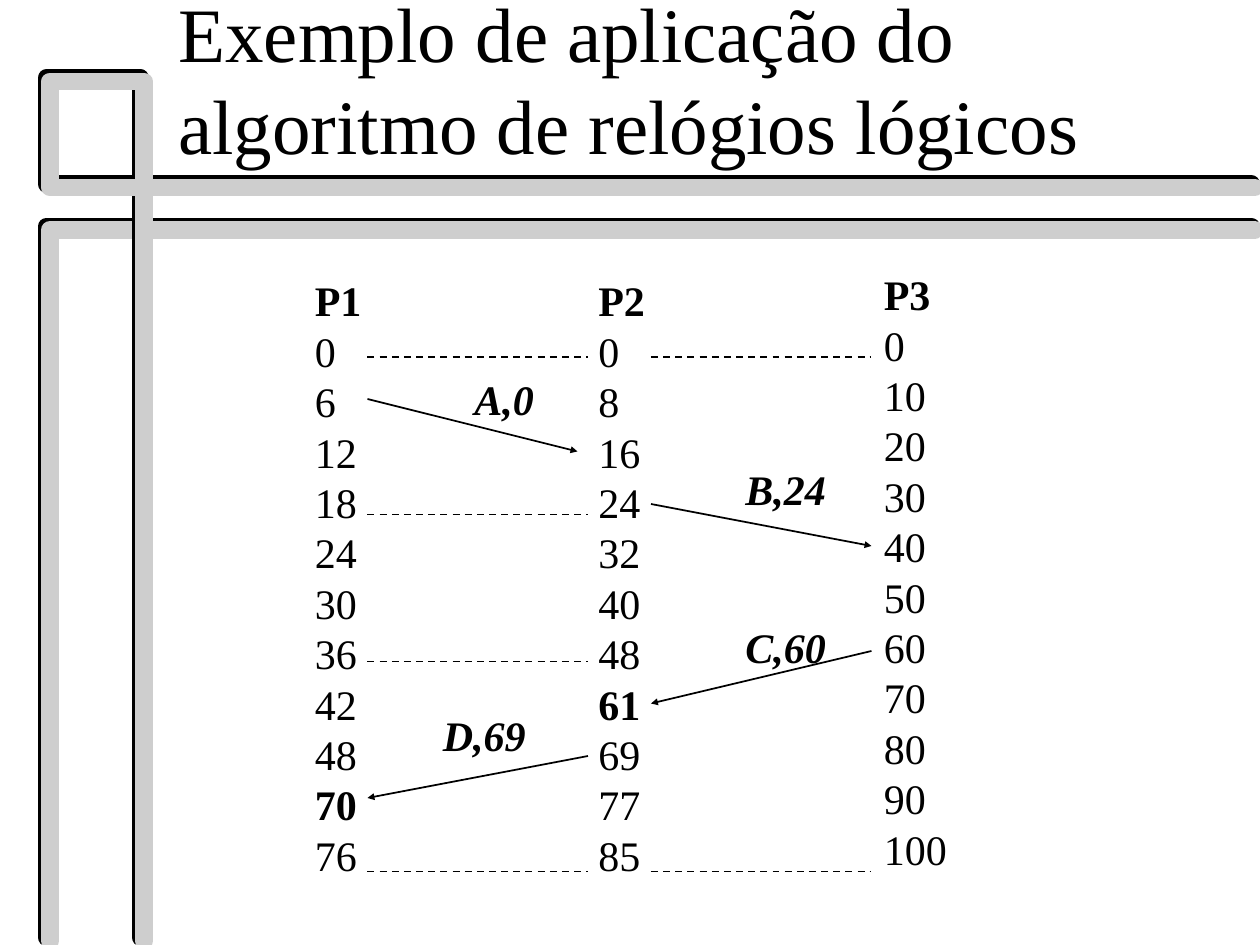
from lxml.etree import SubElement
from pptx import Presentation
from pptx.dml.color import RGBColor
from pptx.enum.dml import MSO_LINE_DASH_STYLE as Dash
from pptx.enum.shapes import MSO_CONNECTOR as Connector
from pptx.enum.text import MSO_ANCHOR as Anchor, MSO_AUTO_SIZE as AutoSize, PP_ALIGN as Align
from pptx.oxml.ns import qn
from pptx.util import Inches, Pt

BLACK = RGBColor(0x00, 0x00, 0x00)
SILVER = RGBColor(0xCE, 0xCE, 0xCE)
FONT = "Times New Roman"
LINE_HEIGHT = 1.2
COLUMNS, ROWS = 120, 90


def write_paragraph(paragraph, text, size=24, bold=False, italic=False):
    paragraph.alignment = Align.LEFT
    paragraph.line_spacing = Pt(size * LINE_HEIGHT)
    run = paragraph.add_run()
    run.text = text
    font = run.font
    font.name, font.size = FONT, Pt(size)
    font.bold, font.italic = bold, italic
    font.color.rgb = BLACK


class ClockSlide:
    def __init__(self, presentation):
        self.slide = presentation.slides.add_slide(presentation.slide_layouts[5])
        self.shapes = self.slide.shapes
        self.column = presentation.slide_width / COLUMNS
        self.row = presentation.slide_height / ROWS

    def place(self, column, row):
        return round(column * self.column), round(row * self.row)

    def title(self, text, position, size):
        shape = self.shapes.title
        shape.left, shape.top = self.place(*position)
        shape.width, shape.height = self.place(*size)
        frame = shape.text_frame
        frame.auto_size = AutoSize.NONE
        frame.vertical_anchor = Anchor.BOTTOM
        write_paragraph(frame.paragraphs[0], text, size=44)

    def ribbon(self, points):
        places = [self.place(*point) for point in points]
        builder = self.shapes.build_freeform(*places[0])
        builder.add_line_segments(places[1:], close=False)
        shape = builder.convert_to_shape()
        shape.fill.background()
        shape.line.color.rgb = SILVER
        shape.line.width = Pt(10)
        outline = shape.line._get_or_add_ln()
        outline.set("cap", "rnd")
        SubElement(outline, qn("a:round"))
        effects = SubElement(shape._element.spPr, qn("a:effectLst"))
        shadow = SubElement(effects, qn("a:outerShdw"), dist=str(Pt(2.8)),
                            dir=str(225 * 60000), algn="ctr", rotWithShape="0")
        SubElement(shadow, qn("a:srgbClr"), val=str(BLACK))

    def text(self, lines, position, width, bold_lines=(), italic=False):
        height = len(lines) * 4.8 + 1.2
        shape = self.shapes.add_textbox(*self.place(*position), *self.place(width, height))
        frame = shape.text_frame
        frame.word_wrap = False
        frame.auto_size = AutoSize.NONE
        for index, line in enumerate(lines):
            paragraph = frame.add_paragraph() if index else frame.paragraphs[0]
            write_paragraph(paragraph, line, bold=line in bold_lines, italic=italic)

    def line(self, start, end, arrow=False):
        connector = self.shapes.add_connector(
            Connector.STRAIGHT, *self.place(*start), *self.place(*end))
        connector.line.color.rgb = BLACK
        connector.line.width = Pt(1)
        if arrow:
            SubElement(connector.line._get_or_add_ln(), qn("a:tailEnd"),
                       type="triangle", w="sm", len="sm")
        else:
            connector.line.dash_style = Dash.DASH
        SubElement(connector._element.spPr, qn("a:effectLst"))


def main():
    presentation = Presentation()
    presentation.slide_width, presentation.slide_height = Inches(10), Inches(7.5)
    clocks = ClockSlide(presentation)

    left, right, bottom = 4.75, 119.5, 89.6
    clocks.ribbon([(right, 21.9), (left, 21.9), (left, bottom)])
    clocks.ribbon([(13.7, bottom), (13.7, 7.75), (left, 7.75), (left, 17.85), (right, 17.85)])
    clocks.title("Exemplo de aplicação do algoritmo de relógios lógicos",
                 (15.8, 2.8), (101.5, 14))

    processes = [
        ("P1", [*range(0, 49, 6), 70, 76], "70", (28.8, 25.6), 7),
        ("P2", [*range(0, 49, 8), *range(61, 62), *range(69, 86, 8)], "61", (55.8, 25.6), 7),
        ("P3", range(0, 101, 10), None, (83, 25), 8.4),
    ]
    for name, ticks, adjusted, position, width in processes:
        clocks.text([name, *map(str, ticks)], position, width, bold_lines=(name, adjusted))

    first_gap, second_gap = (35, 56), (62, 83)
    messages = [
        ("A,0", (44, 35), 8.2, (35, 38), (55, 43)),
        ("B,24", (69.8, 43.6), 10.2, (62, 48), (83, 52)),
        ("C,60", (69.8, 58.6), 10.2, (83, 62), (62, 67)),
        ("D,69", (41, 67), 10.4, (56, 72), (35, 76)),
    ]
    for label, position, width, start, end in messages:
        clocks.line(start, end, arrow=True)
        clocks.text([label], position, width, bold_lines=(label,), italic=True)

    for (start, end), rows in ((first_gap, (34, 49, 63, 83)), (second_gap, (34, 83))):
        for row in rows:
            clocks.line((start, row), (end, row))

    presentation.save("out.pptx")


if __name__ == "__main__":
    main()
